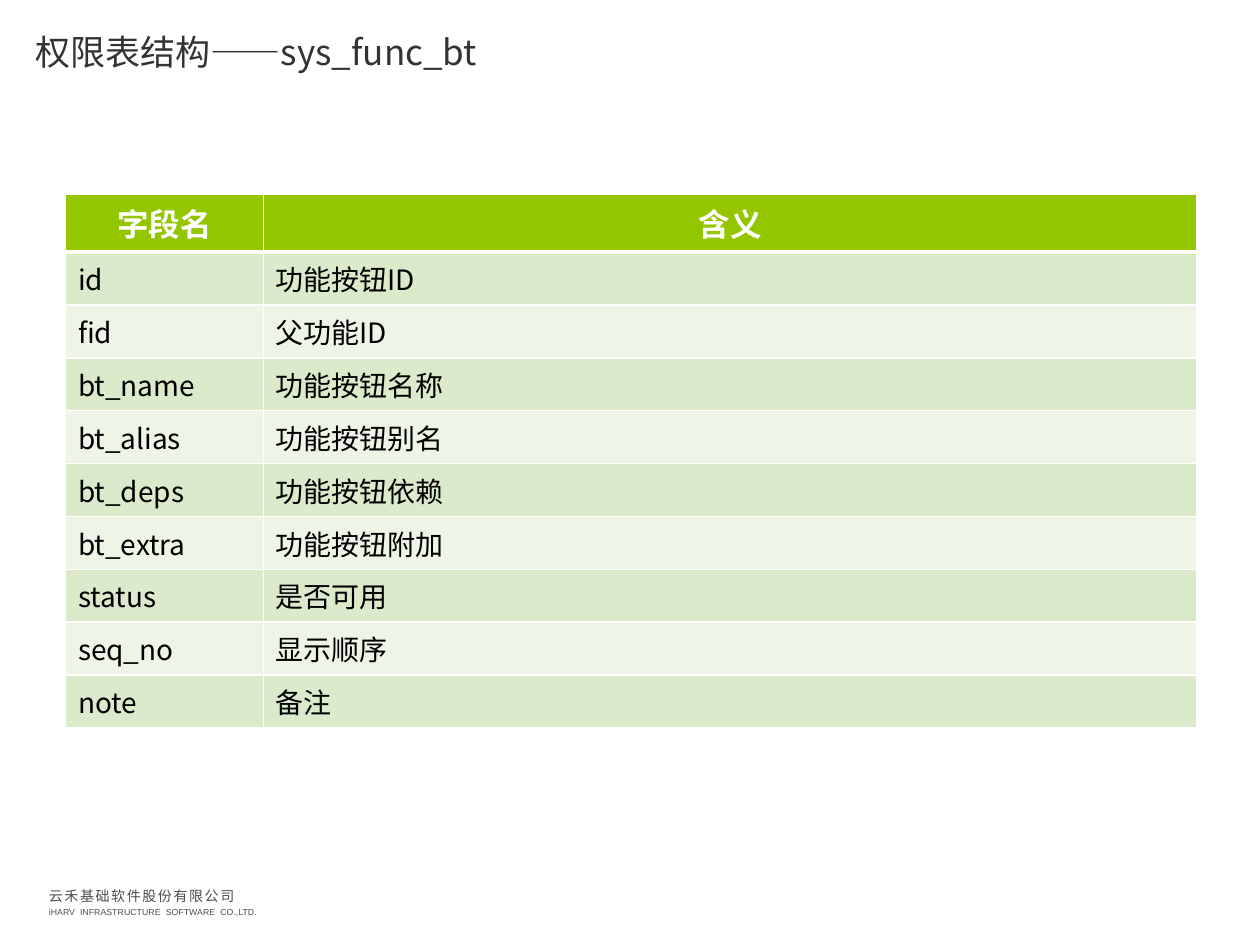
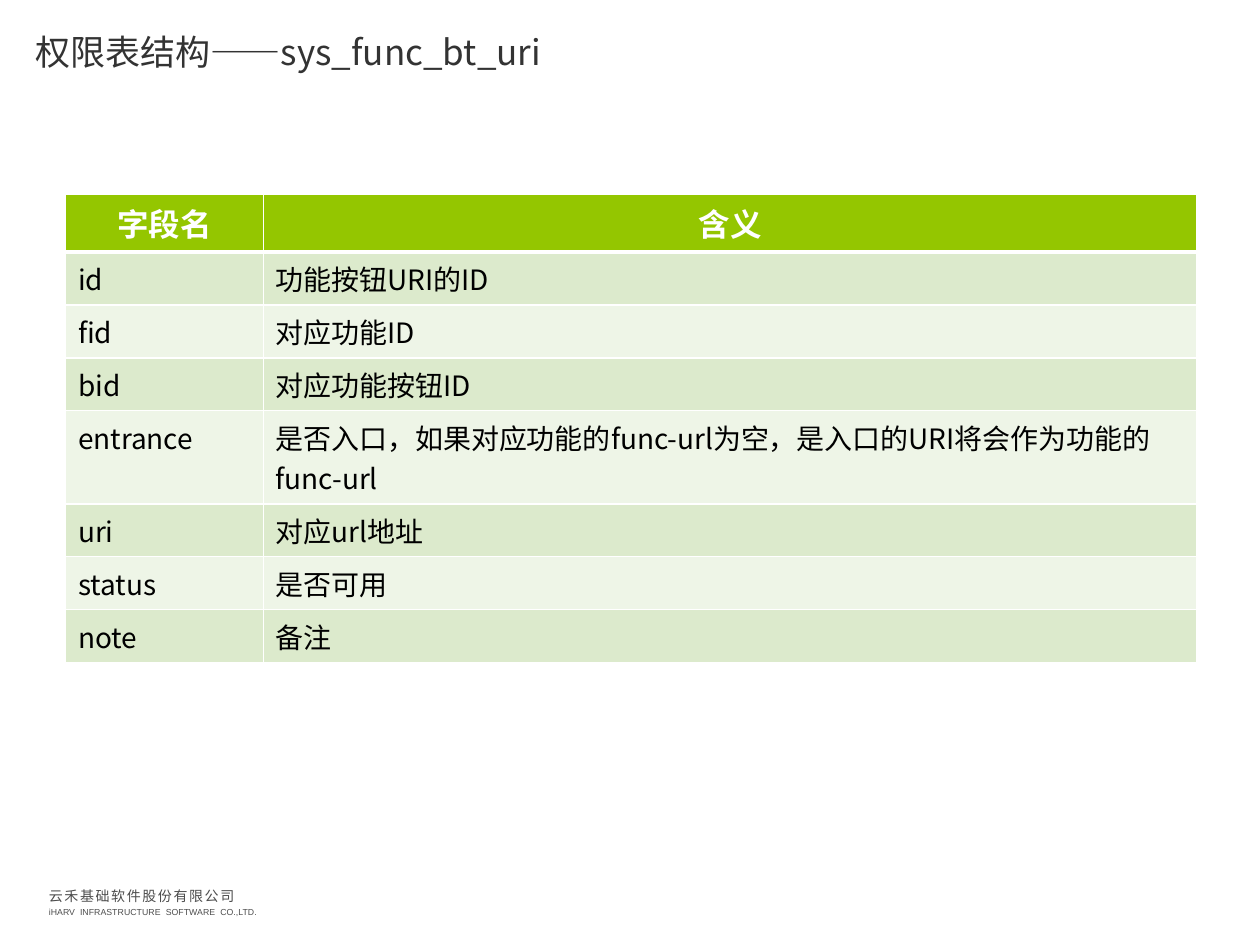
from pptx import Presentation
from pptx.dml.color import RGBColor
from pptx.enum.text import MSO_ANCHOR, MSO_AUTO_SIZE, PP_ALIGN
from pptx.oxml.ns import qn
from pptx.util import Inches, Pt
from lxml.etree import SubElement

# Content
TITLE_PREFIX = "权限表结构——"
HEADINGS = ("字段名", "含义")
TABLE_FIELDS = {
    "sys_func_bt": [
        ("id", "功能按钮ID"),
        ("fid", "父功能ID"),
        ("bt_name", "功能按钮名称"),
        ("bt_alias", "功能按钮别名"),
        ("bt_deps", "功能按钮依赖"),
        ("bt_extra", "功能按钮附加"),
        ("status", "是否可用"),
        ("seq_no", "显示顺序"),
        ("note", "备注"),
    ],
    "sys_func_bt_uri": [
        ("id", "功能按钮URI的ID"),
        ("fid", "对应功能ID"),
        ("bid", "对应功能按钮ID"),
        ("entrance", "是否入口，如果对应功能的func-url为空，是入口的URI将会作为功能的func-url"),
        ("uri", "对应url地址"),
        ("status", "是否可用"),
        ("note", "备注"),
    ],
}
COMPANY = "云禾基础软件股份有限公司"
COMPANY_LATIN = "iHARV INFRASTRUCTURE SOFTWARE CO.,LTD."

# Shared look
COLORS = {
    "title": "333333", "footer": "4D4D4D", "header": "94C600", "heading": "FFFFFF",
    "text": "000000", "border": "FFFFFF", "bands": ("DCEACC", "EEF5E7"),
}
CJK_FONT = "Noto Sans CJK SC"
TITLE_FONT = {"name": CJK_FONT, "size": Pt(20), "bold": False}
HEADING_FONT = {"name": CJK_FONT, "size": Pt(18), "bold": True}
FIELD_FONT = {"name": CJK_FONT, "size": Pt(16), "bold": False}
COMPANY_FONT = {"name": "Arial", "size": Pt(8)}
LATIN_FONT = {"name": "Arial", "size": Pt(5)}
TITLE_BOX = {"left": Inches(0.28), "top": Inches(0.07),
             "width": Inches(9.45), "height": Inches(0.68)}
TITLE_FRAME = {"margin_left": 0, "margin_right": 0, "word_wrap": True,
               "vertical_anchor": MSO_ANCHOR.MIDDLE, "auto_size": MSO_AUTO_SIZE.NONE}
FOOTER_FRAME = {"word_wrap": True, "vertical_anchor": MSO_ANCHOR.MIDDLE}
COLUMN_WIDTHS = (1.57, 7.41)
HEADER_HEIGHT, FIELD_HEIGHT, EXTRA_LINE_HEIGHT = 0.46, 0.42, 0.32
LINE_CAPACITY = 40  # characters of a meaning that fit on one line
THIN, THICK = Pt(1), Pt(2)


def apply(target, values):
    for attribute, value in values.items():
        setattr(target, attribute, value)


def add_run(paragraph, text, font, color, spacing=0):
    """Add formatted text; spacing is in hundredths of a point."""
    run = paragraph.add_run()
    run.text = text
    apply(run.font, font)
    run.font.color.rgb = RGBColor.from_string(color)
    properties = run.font._element
    SubElement(properties, qn("a:ea"), typeface=CJK_FONT)
    if spacing:
        properties.set("spc", str(spacing))


def set_borders(cell, widths):
    properties = cell._tc.get_or_add_tcPr()
    for side in "LRTB":
        line = SubElement(properties, qn(f"a:ln{side}"), w=str(widths.get(side, THIN)))
        fill = SubElement(line, qn("a:solidFill"))
        SubElement(fill, qn("a:srgbClr"), val=COLORS["border"])


def add_title(slide, table_name):
    title = slide.shapes.title
    apply(title, TITLE_BOX)
    apply(title.text_frame, TITLE_FRAME)
    paragraph = title.text_frame.paragraphs[0]
    paragraph.alignment = PP_ALIGN.LEFT
    add_run(paragraph, TITLE_PREFIX + table_name, TITLE_FONT, COLORS["title"])


def add_footer(slide):
    footer = slide.shapes.add_textbox(Inches(0.29), Inches(6.97), Inches(2.2), Inches(0.36))
    frame = footer.text_frame
    apply(frame, FOOTER_FRAME)
    company, latin = frame.paragraphs[0], frame.add_paragraph()
    company.line_spacing = latin.line_spacing = 1.2
    add_run(company, COMPANY, COMPANY_FONT, COLORS["footer"], spacing=88)
    # Wide word gaps come from spacing on the single spaces
    for index, word in enumerate(COMPANY_LATIN.split()):
        if index:
            add_run(latin, " ", LATIN_FONT, COLORS["footer"], spacing=139)
        add_run(latin, word, LATIN_FONT, COLORS["footer"])


def field_height(meaning):
    return FIELD_HEIGHT + EXTRA_LINE_HEIGHT * (len(meaning) // LINE_CAPACITY)


def add_field_table(slide, fields):
    rows = [HEADINGS, *fields]
    heights = [HEADER_HEIGHT] + [field_height(meaning) for _, meaning in fields]
    table = slide.shapes.add_table(
        len(rows), len(HEADINGS), Inches(0.52), Inches(1.54),
        Inches(sum(COLUMN_WIDTHS)), Inches(sum(heights))).table
    for column, width in zip(table.columns, COLUMN_WIDTHS):
        column.width = Inches(width)
    for table_row, height in zip(table.rows, heights):
        table_row.height = Inches(height)
    for row_index, row in enumerate(rows):
        is_header = row_index == 0
        fill = COLORS["header"] if is_header else COLORS["bands"][(row_index - 1) % 2]
        font, color = ((HEADING_FONT, COLORS["heading"]) if is_header
                       else (FIELD_FONT, COLORS["text"]))
        # The rule under the header is shared by the first two rows
        borders = {0: {"B": THICK}, 1: {"T": THICK}}.get(row_index, {})
        for column_index, text in enumerate(row):
            cell = table.cell(row_index, column_index)
            set_borders(cell, borders)
            cell.fill.solid()
            cell.fill.fore_color.rgb = RGBColor.from_string(fill)
            paragraph = cell.text_frame.paragraphs[0]
            paragraph.alignment = PP_ALIGN.CENTER if is_header else PP_ALIGN.LEFT
            add_run(paragraph, text, font, color)


def main():
    deck = Presentation()
    deck.slide_width, deck.slide_height = Inches(10), Inches(7.5)
    title_only = deck.slide_layouts.get_by_name("Title Only")
    for table_name, fields in TABLE_FIELDS.items():
        slide = deck.slides.add_slide(title_only)
        add_footer(slide)
        add_title(slide, table_name)
        add_field_table(slide, fields)
    deck.save("out.pptx")


if __name__ == "__main__":
    main()
